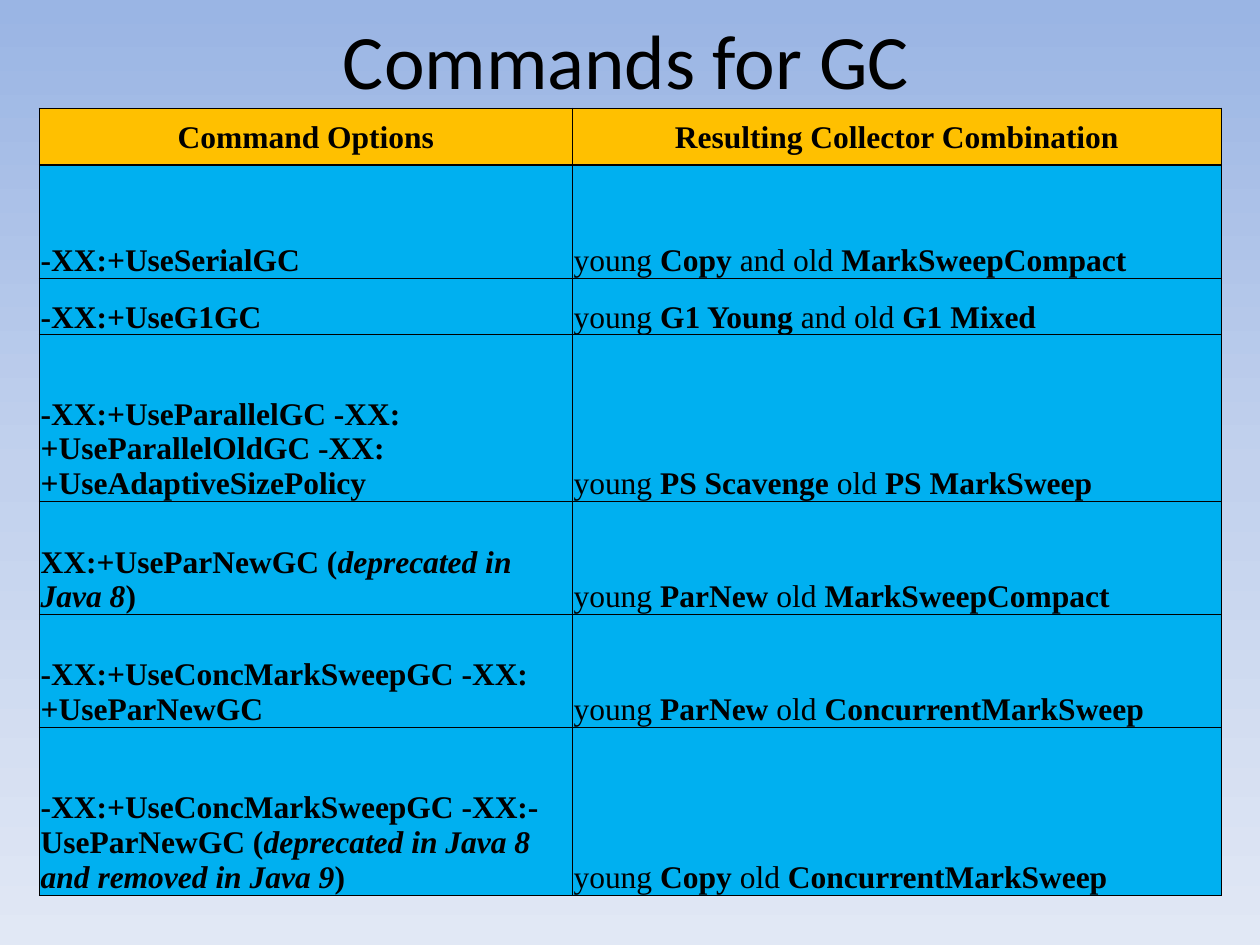
from copy import deepcopy

from lxml import etree
from pptx import Presentation
from pptx.dml.color import RGBColor
from pptx.enum.text import MSO_ANCHOR, PP_ALIGN
from pptx.oxml.ns import qn
from pptx.util import Pt

CENTER, LEFT = PP_ALIGN.CENTER, PP_ALIGN.LEFT
MIDDLE, BOTTOM = MSO_ANCHOR.MIDDLE, MSO_ANCHOR.BOTTOM
BLANK_LAYOUT = 6

COLORS = {
    "sky_top": "9AB5E4",
    "sky_middle": "C2D1ED",
    "sky_bottom": "E1E8F5",
    "text": "000000",
    "border": "000000",
    "header": "FFC000",
    "body": "00B0F0",
}
TITLE_FONT, TABLE_FONT = "Calibri", "Times New Roman"

HEADINGS = ["Command Options", "Resulting Collector Combination"]
# Command, italic remark, young collector, joining words, old collector
COMMANDS = [
    ("-XX:+UseSerialGC", "", "Copy", " and old ", "MarkSweepCompact"),
    ("-XX:+UseG1GC", "", "G1 Young", " and old ", "G1 Mixed"),
    ("-XX:+UseParallelGC -XX:+UseParallelOldGC -XX:+UseAdaptiveSizePolicy", "",
     "PS Scavenge", " old ", "PS MarkSweep "),
    ("XX:+UseParNewGC", "deprecated in Java 8",
     "ParNew", " old ", "MarkSweepCompact"),
    ("-XX:+UseConcMarkSweepGC -XX:+UseParNewGC", "",
     "ParNew", " old ", "ConcurrentMarkSweep"),
    ("-XX:+UseConcMarkSweepGC -XX:-UseParNewGC",
     "deprecated in Java 8 and removed in Java 9",
     "Copy", " old ", "ConcurrentMarkSweep"),
]
COLUMN_WIDTHS = [304.5, 371]
ROW_HEIGHTS = [32.4, 64.6, 32.4, 95.3, 64.6, 64.2, 96.2]


def color(name):
    return RGBColor.from_string(COLORS[name])


def paint_background(page):
    fill = page.background.fill
    fill.gradient()
    fill.gradient_angle = 270
    stop_list = next(page.element.iter(qn("a:gsLst")))
    stop_list.insert(1, deepcopy(stop_list[0]))
    names = ["sky_top", "sky_middle", "sky_bottom"]
    for stop, name, position in zip(fill.gradient_stops, names, [0, 0.5, 1]):
        stop.color.rgb = color(name)
        stop.position = position


def add_span(para, text, font, size, bold=False, italic=False):
    span = para.add_run()
    span.text = text
    span.font.name = font
    span.font.size = Pt(size)
    span.font.bold = bold
    span.font.italic = italic
    span.font.color.rgb = color("text")


def add_title(page, text):
    box = page.shapes.add_textbox(Pt(34), Pt(0), Pt(648), Pt(67.5))
    frame = box.text_frame
    frame.word_wrap = True
    frame.vertical_anchor = MIDDLE
    para = frame.paragraphs[0]
    para.alignment = CENTER
    add_span(para, text, TITLE_FONT, 44)


def set_borders(cell, widths):
    """Draw the cell's sides; widths maps L, R, T and B to points."""
    properties = cell._tc.get_or_add_tcPr()
    for index, side in enumerate("LRTB"):
        line = etree.Element(qn(f"a:ln{side}"), w=str(Pt(widths[side])))
        solid = etree.SubElement(line, qn("a:solidFill"))
        etree.SubElement(solid, qn("a:srgbClr"), val=COLORS["border"])
        properties.insert(index, line)


def fill_cell(cell, spans, fill, alignment, anchor):
    """Write spans, given as (text, bold, italic), into a coloured cell."""
    cell.margin_left = cell.margin_right = cell.margin_top = Pt(0.75)
    cell.margin_bottom = Pt(0)
    cell.vertical_anchor = anchor
    cell.fill.solid()
    cell.fill.fore_color.rgb = color(fill)
    para = cell.text_frame.paragraphs[0]
    para.alignment = alignment
    for text, bold, italic in spans:
        add_span(para, text, TABLE_FONT, 18, bold, italic)


def command_spans(command, remark):
    if not remark:
        return [(command, True, False)]
    return [(f"{command} (", True, False), (remark, True, True), (")", True, False)]


def collector_spans(young, joint, old):
    return [("young ", False, False), (young, True, False),
            (joint, False, False), (old, True, False)]


def add_command_table(page):
    frame = page.shapes.add_table(
        len(ROW_HEIGHTS), len(COLUMN_WIDTHS), Pt(22.5), Pt(62),
        Pt(sum(COLUMN_WIDTHS)), Pt(sum(ROW_HEIGHTS)))
    table = frame.table
    for column, width in zip(table.columns, COLUMN_WIDTHS):
        column.width = Pt(width)
    for row, height in zip(table.rows, ROW_HEIGHTS):
        row.height = Pt(height)

    for column, heading in enumerate(HEADINGS):
        cell = table.cell(0, column)
        fill_cell(cell, [(heading, True, False)], "header", CENTER, MIDDLE)
        set_borders(cell, {"L": 0.5 if column else 1, "R": 1 if column else 0.5,
                           "T": 1, "B": 1})
    for row, (command, remark, *collectors) in enumerate(COMMANDS, start=1):
        contents = [command_spans(command, remark), collector_spans(*collectors)]
        for column, spans in enumerate(contents):
            cell = table.cell(row, column)
            fill_cell(cell, spans, "body", LEFT, BOTTOM)
            set_borders(cell, {"L": 0.5, "R": 0.5,
                               "T": 1 if row == 1 else 0.5, "B": 0.5})


def main():
    deck = Presentation()
    deck.slide_width, deck.slide_height = Pt(720), Pt(540)
    page = deck.slides.add_slide(deck.slide_layouts[BLANK_LAYOUT])
    paint_background(page)
    add_title(page, "Commands for GC")
    add_command_table(page)
    deck.save("out.pptx")


if __name__ == "__main__":
    main()
